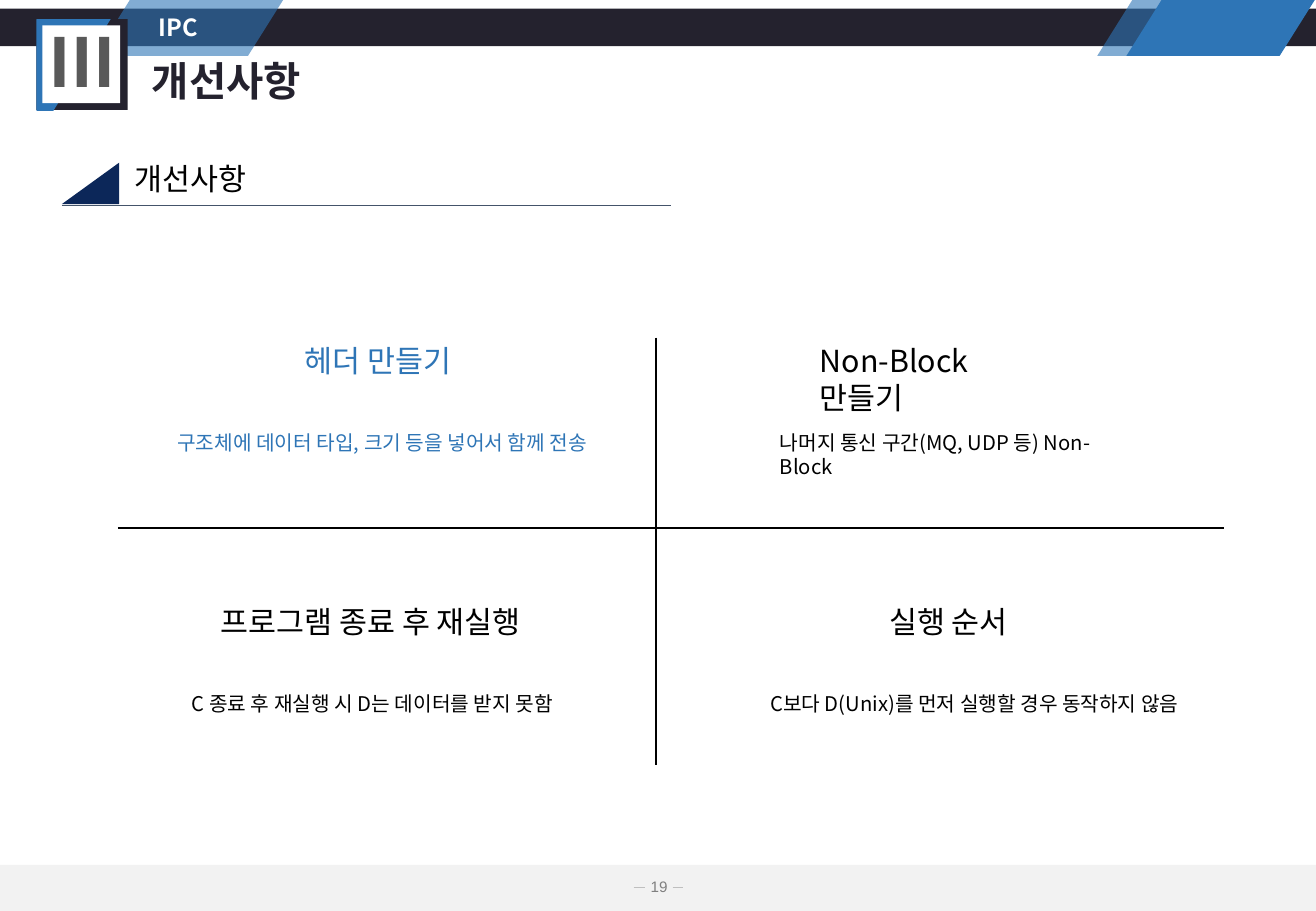
from lxml import etree
from pptx import Presentation
from pptx import util as u
from pptx.dml.color import RGBColor
from pptx.enum import shapes, text
from pptx.oxml import ns

FONT = "Noto Sans CJK KR"
NAVY, BLUE, BLACK, WHITE = "24222E", "2E75B6", "000000", "FFFFFF"
TOP, MIDDLE = text.MSO_ANCHOR.TOP, text.MSO_ANCHOR.MIDDLE
LEFT, CENTER = text.PP_ALIGN.LEFT, text.PP_ALIGN.CENTER
SHAPE = shapes.MSO_SHAPE


def rgb(value):
    """Return the colour for a hex string."""
    return RGBColor.from_string(value)


def lengths(*values):
    """Return the values as lengths in inches."""
    return [u.Inches(v) for v in values]


def write(tf, content, size=18, color=BLACK, bold=False, font=FONT,
          align=LEFT, anchor=TOP, spacing=1.0, wrap=True, inset=None):
    """Write one formatted paragraph into a text frame."""
    tf.word_wrap = wrap
    tf.auto_size = text.MSO_AUTO_SIZE.NONE
    tf.vertical_anchor = anchor
    if inset is not None:
        tf.margin_left = tf.margin_right = u.Inches(inset)
        tf.margin_top = tf.margin_bottom = u.Inches(inset)
    p = tf.paragraphs[0]
    p.alignment, p.line_spacing = align, spacing
    r = p.add_run()
    r.text = content
    r.font.size, r.font.bold, r.font.name = u.Pt(size), bold, font
    r.font.color.rgb = rgb(color)
    etree.SubElement(r._r.get_or_add_rPr(), ns.qn("a:ea"), typeface=font)


def label(s, box, content, **fmt):
    """Add a text box."""
    write(s.shapes.add_textbox(*lengths(*box)).text_frame, content, **fmt)


def block(s, kind, box, color, alpha=None, adj=None):
    """Add a filled preset shape without outline."""
    sp = s.shapes.add_shape(kind, *lengths(*box))
    sp.shadow.inherit = False
    sp.line.fill.background()
    sp.fill.solid()
    sp.fill.fore_color.rgb = rgb(color)
    if adj is not None:
        sp.adjustments[0] = adj
    if alpha is not None:
        clr = sp._element.spPr.find(".//" + ns.qn("a:srgbClr"))
        etree.SubElement(clr, ns.qn("a:alpha"), val=str(alpha * 1000))
    return sp


def rule(s, start, end, color, width):
    """Add a straight line."""
    line = s.shapes.add_connector(
        shapes.MSO_CONNECTOR.STRAIGHT, *lengths(*start, *end))
    line.line.color.rgb, line.line.width = rgb(color), u.Pt(width)
    etree.SubElement(line._element.spPr, ns.qn("a:effectLst"))


def split_gradient(sp, angle):
    """Fill a shape half navy and half blue with a hard edge."""
    sp.fill.gradient()
    sp.fill.gradient_angle = angle
    stops = sp._element.spPr.find(".//" + ns.qn("a:gsLst"))
    for gs in list(stops):
        stops.remove(gs)
    for pos, color in ((0, NAVY), (50, NAVY), (50, BLUE)):
        gs = etree.SubElement(stops, ns.qn("a:gs"), pos=str(pos * 1000))
        etree.SubElement(gs, ns.qn("a:srgbClr"), val=color)


def badge(s, x, y, side, numeral):
    """Draw the framed chapter numeral."""
    split_gradient(block(s, SHAPE.RECTANGLE, (x, y, side, side), NAVY), 148)
    block(s, SHAPE.RECTANGLE, (x + 0.05, y + 0.05, side - 0.11, side - 0.11), WHITE)
    label(s, (x, y + 0.17, 0.55, 0.43), numeral, size=40, color="595959",
          bold=True, anchor=MIDDLE, spacing=0.9)


def header(s, x, y, w, h):
    """Draw the top band, its slanted tabs, the badge and the titles."""
    block(s, SHAPE.RECTANGLE, (x, y + 0.07, w, 0.31), NAVY)
    for left, alpha in ((0.78, 60), (9.03, 60), (9.27, None)):
        block(s, SHAPE.PARALLELOGRAM, (x + left, y, 1.55, 0.46), BLUE, alpha, 0.628)
    badge(s, x + 0.3, y + 0.16, 0.75, "Ⅲ")
    label(s, (x + 1.21, y + 0.09, 2.38, 0.29), "IPC", size=14, color=WHITE,
          bold=True, anchor=MIDDLE, spacing=0.9)
    title = s.shapes.title
    title.left, title.top, title.width, title.height = lengths(
        x + 1.15, y + h - 0.44, 4.7, 0.44)
    write(title.text_frame, "개선사항", size=24, color=NAVY, bold=True,
          anchor=MIDDLE, spacing=0.9)


def section(s, x, y, w, h):
    """Draw the underlined section heading with its corner triangle."""
    block(s, SHAPE.ISOSCELES_TRIANGLE, (x, y + h - 0.35, 0.47, 0.34), "0C2759", adj=1)
    rule(s, (x, y + h), (x + w, y + h), "44546A", 0.5)
    label(s, (x + 0.5, y, 4.7, 0.4), "개선사항")


def quadrants(s, x, y, w, h):
    """Draw the cross and the heading and detail of each quarter."""
    rule(s, (x + 4.43, y), (x + 4.43, y + h), BLACK, 1)
    rule(s, (x, y + 1.57), (x + w, y + 1.57), BLACK, 1)
    items = (
        (0, BLUE, 1.44, 1.42, "헤더 만들기",
         0.39, 3.65, "구조체에 데이터 타입, 크기 등을 넣어서 함께 전송"),
        (0, BLACK, 5.68, 2.16, "Non-Block 만들기",
         5.35, 3.15, "나머지 통신 구간(MQ, UDP 등) Non-Block"),
        (1, BLACK, 0.75, 2.73, "프로그램 종료 후 재실행",
         0.51, 3.26, "C 종료 후 재실행 시 D는 데이터를 받지 못함"),
        (1, BLACK, 6.25, 1.2, "실행 순서",
         5.27, 3.58, "C보다 D(Unix)를 먼저 실행할 경우 동작하지 않음"),
    )
    for row, color, head_x, head_w, head, body_x, body_w, body in items:
        top = y - 0.01 + row * 2.15
        label(s, (x + head_x, top, head_w, 0.4), head, color=color)
        label(s, (x + body_x, top + 0.72, body_w, 0.3), body, size=12, color=color)


def footer(s, x, y, w, h):
    """Draw the bottom band and the page number between two dashes."""
    block(s, SHAPE.RECTANGLE, (x, y, w, h), "F2F2F2")
    mid = x + w / 2
    label(s, (mid - 0.07, y + 0.1, 0.16, 0.15), "19", size=9, color="808080",
          font="Arial", align=CENTER, anchor=MIDDLE, wrap=False, inset=0)
    for left in (mid - 0.2, mid + 0.12):
        rule(s, (left, y + 0.19), (left + 0.09, y + 0.19), "BFBFBF", 0.5)


def main():
    """Build and save the slide."""
    prs = Presentation()
    prs.slide_width, prs.slide_height = lengths(10.83, 7.5)
    s = prs.slides.add_slide(prs.slide_layouts[5])
    footer(s, 0, 7.12, 10.83, 0.38)
    header(s, 0, 0, 10.83, 0.91)
    section(s, 0.51, 1.27, 5.01, 0.42)
    quadrants(s, 0.97, 2.78, 9.1, 3.52)
    prs.save("out.pptx")


if __name__ == "__main__":
    main()
